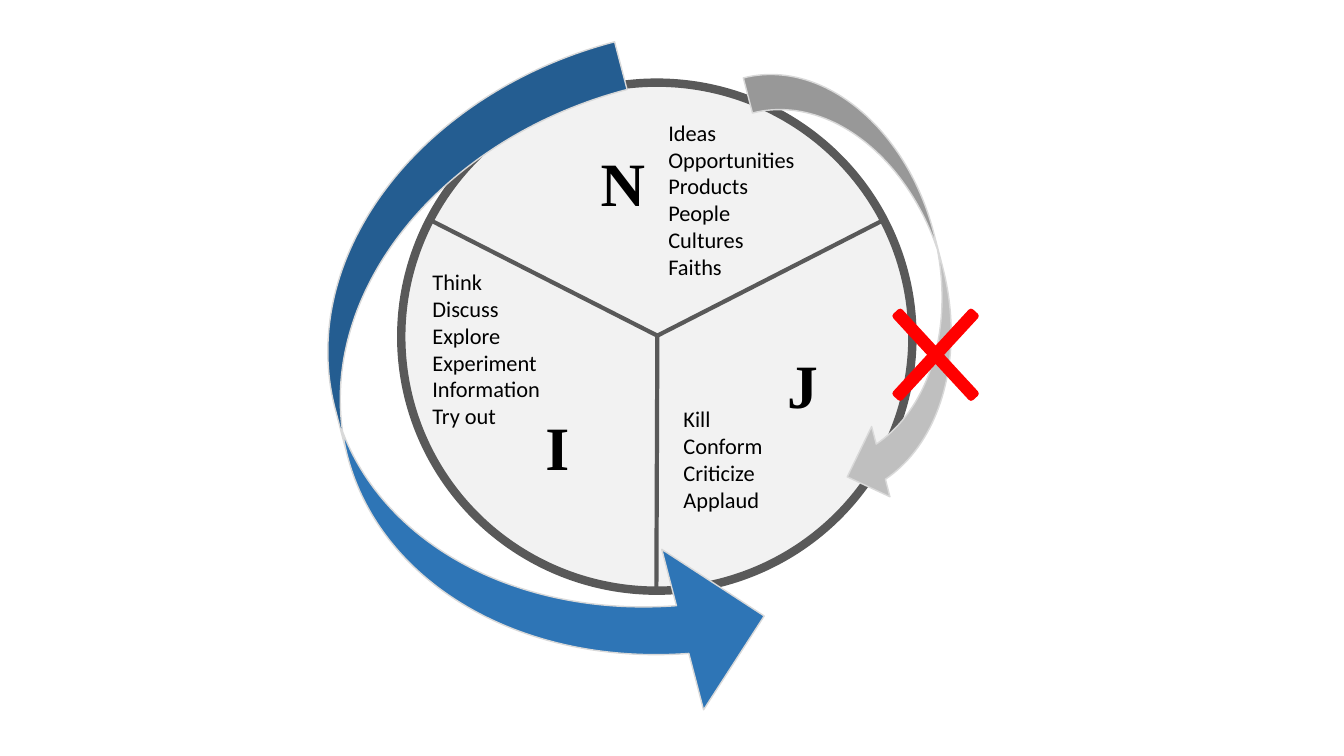
from lxml.etree import SubElement
from pptx import Presentation
from pptx.dml.color import RGBColor
from pptx.enum.shapes import MSO_CONNECTOR, MSO_SHAPE
from pptx.enum.text import MSO_AUTO_SIZE
from pptx.oxml.ns import qn
from pptx.util import Inches, Pt

BLACK = RGBColor(0x00, 0x00, 0x00)
DARK_GRAY = RGBColor(0x59, 0x59, 0x59)
MID_GRAY = RGBColor(0xBF, 0xBF, 0xBF)
LIGHT_GRAY = RGBColor(0xD9, 0xD9, 0xD9)
PALE_GRAY = RGBColor(0xF2, 0xF2, 0xF2)
BLUE = RGBColor(0x2E, 0x75, 0xB6)
RED = RGBColor(0xFF, 0x00, 0x00)


def add_figure(kind, place, fill, line, weight, adjustments=()):
    figure = page.shapes.add_shape(kind, *map(Inches, place))
    figure.shadow.inherit = False
    figure.fill.solid()
    figure.fill.fore_color.rgb = fill
    figure.line.color.rgb = line
    figure.line.width = Pt(weight)
    for index, value in enumerate(adjustments):
        figure.adjustments[index] = value
    return figure


def add_text(place, lines, font, size, bold=False):
    box = page.shapes.add_textbox(*map(Inches, place))
    frame = box.text_frame
    frame.word_wrap = True
    frame.auto_size = MSO_AUTO_SIZE.SHAPE_TO_FIT_TEXT
    for index, line in enumerate(lines):
        para = frame.add_paragraph() if index else frame.paragraphs[0]
        span = para.add_run()
        span.text = line
        span.font.name = font
        span.font.size = Pt(size)
        span.font.bold = bold
        span.font.color.rgb = BLACK


deck = Presentation()
deck.slide_width = Inches(13.33)
deck.slide_height = Inches(7.5)
page = deck.slides.add_slide(deck.slide_layouts[6])

# Circle split into three sectors
add_figure(MSO_SHAPE.OVAL, (3.98, 0.82, 5.07, 5.04), PALE_GRAY, DARK_GRAY, 6)
hub = (6.52, 3.33)
for rim in [(4.28, 2.19), (8.75, 2.19), (6.51, 5.86)]:
    spoke = page.shapes.add_connector(MSO_CONNECTOR.STRAIGHT, *map(Inches, hub + rim))
    spoke.line.color.rgb = DARK_GRAY
    spoke.line.width = Pt(3)
    SubElement(spoke.element.spPr, qn("a:effectLst"))

# Sector letters
for letter, left, top in [("N", 5.86, 1.39), ("I", 5.31, 4.01), ("J", 7.71, 3.39)]:
    add_text((left, top, 0.63, 0.86), [letter], "Times New Roman", 44, bold=True)

# Arrows around the circle, with the right-hand route crossed out
blocked_arrow = add_figure(MSO_SHAPE.CURVED_LEFT_ARROW, (7.91, 0.52, 1.44, 4.45),
                           MID_GRAY, LIGHT_GRAY, 1)
main_arrow = add_figure(MSO_SHAPE.CURVED_LEFT_ARROW, (3.4, 0.76, 3.6, 6.71),
                        BLUE, LIGHT_GRAY, 1, (0.136, 0.457, 0.227))
main_arrow.element.spPr.xfrm.set("flipH", "1")
for arrow in (blocked_arrow, main_arrow):
    arrow.rotation = 345.4
add_figure(MSO_SHAPE.MATH_MULTIPLY, (8.56, 2.74, 1.44, 1.56), RED, RED, 4.5, (0.043,))

# Word lists
word_lists = [
    (6.53, 1.13, 1.75, ["Ideas", "Opportunities", "Products", "People", "Cultures", "Faiths"]),
    (6.68, 3.97, 1.2, ["Kill", "Conform", "Criticize", "Applaud"]),
    (4.19, 2.61, 1.75, ["Think", "Discuss", "Explore", "Experiment", "Information", "Try out"]),
]
for left, top, height, words in word_lists:
    add_text((left, top, 1.92, height), words, "Calibri", 16)

deck.save("out.pptx")
